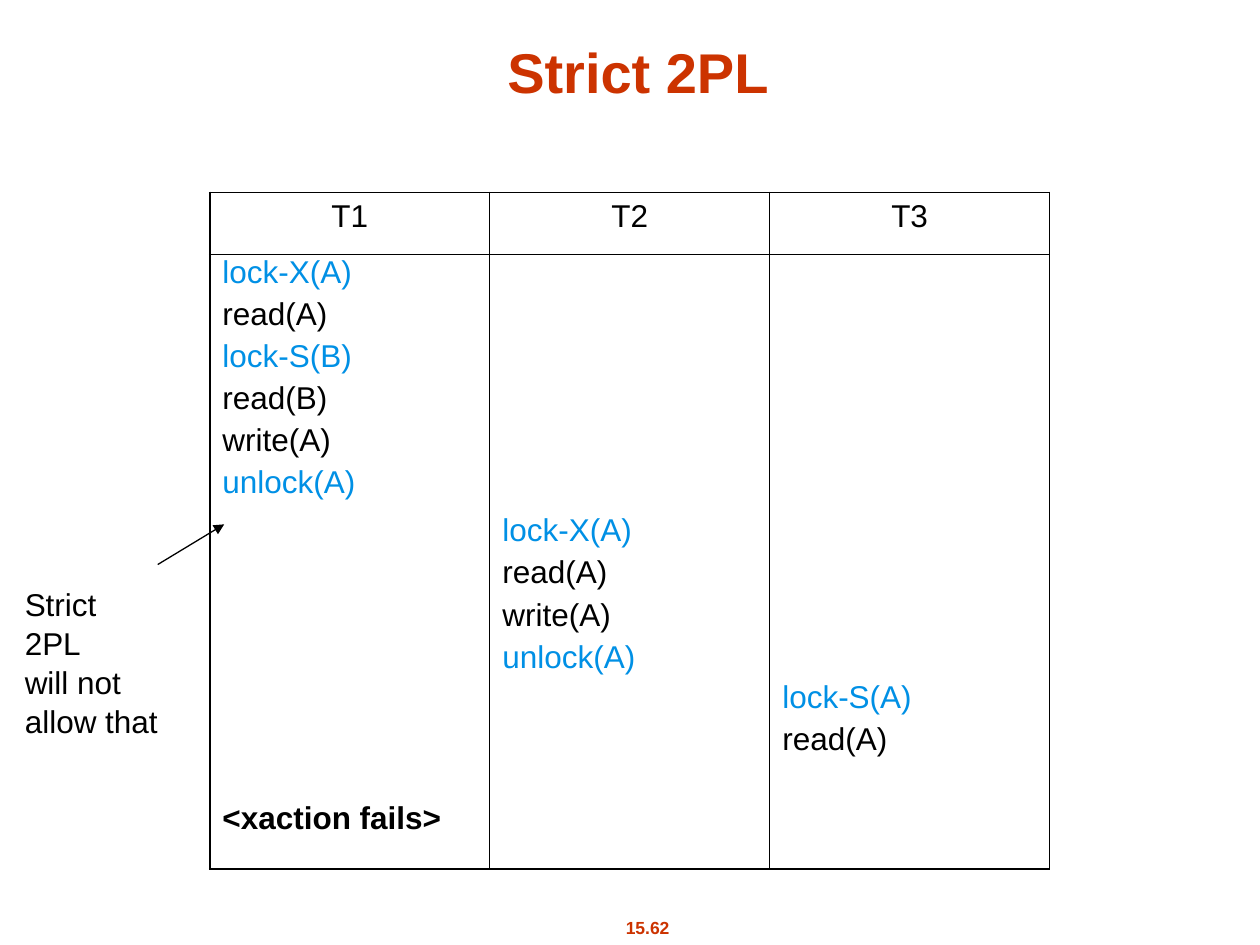
from lxml.etree import SubElement
from pptx import Presentation
from pptx.dml.color import RGBColor
from pptx.enum.shapes import MSO_CONNECTOR
from pptx.enum.text import MSO_ANCHOR, PP_ALIGN
from pptx.oxml import parse_xml
from pptx.oxml.ns import nsdecls, qn
from pptx.util import Cm, Pt

BLACK = RGBColor(0x00, 0x00, 0x00)
RED = RGBColor(0xCC, 0x33, 0x00)
BLUE = RGBColor(0x00, 0x90, 0xE5)
FONT = "Arial"
OUTER_BORDER = Pt(1.08)
INNER_BORDER = Pt(0.45)
CELL_TOP = Cm(0.13)
FAILURE = "<xaction fails>"
FAILURE_GAP = Pt(176)

# Transaction name, top margin of its schedule cell, operations in order
TRANSACTIONS = [
    ("T1", CELL_TOP, ["lock-X(A)", "read(A)", "lock-S(B)", "read(B)",
                      "write(A)", "unlock(A)", FAILURE]),
    ("T2", Cm(5.35), ["lock-X(A)", "read(A)", "write(A)", "unlock(A)"]),
    ("T3", Cm(8.71), ["lock-S(A)", "read(A)"]),
]


def add_run(paragraph, text, size=18, color=BLACK, bold=False):
    run = paragraph.add_run()
    run.text = text
    run.font.name = FONT
    run.font.size = Pt(size)
    run.font.bold = bold
    run.font.color.rgb = color


def paragraphs_for(frame, lines):
    """Yield a paragraph of the frame together with each line."""
    for index, line in enumerate(lines):
        yield (frame.add_paragraph() if index else frame.paragraphs[0]), line


def add_text(slide, left, top, width, height, lines, alignment=PP_ALIGN.LEFT,
             anchor=MSO_ANCHOR.TOP, wrap=False, spacing=1.0, **font):
    box = slide.shapes.add_textbox(Cm(left), Cm(top), Cm(width), Cm(height))
    frame = box.text_frame
    frame.word_wrap = wrap
    frame.vertical_anchor = anchor
    for paragraph, line in paragraphs_for(frame, lines):
        paragraph.alignment = alignment
        paragraph.line_spacing = spacing
        add_run(paragraph, line, **font)


def set_borders(cell, outer_sides):
    """Draw all four sides, with the heavier line on the outer ones."""
    properties = cell._tc.get_or_add_tcPr()
    for index, side in enumerate("LRTB"):
        width = OUTER_BORDER if side in outer_sides else INNER_BORDER
        properties.insert(index, parse_xml(
            f'<a:ln{side} {nsdecls("a")} w="{int(width)}"><a:solidFill>'
            f'<a:srgbClr val="{BLACK}"/></a:solidFill></a:ln{side}>'))


def fill_schedule(cell, operations):
    for paragraph, operation in paragraphs_for(cell.text_frame, operations):
        failure = operation == FAILURE
        paragraph.line_spacing = 0.8
        if operation is not operations[0]:
            paragraph.space_before = FAILURE_GAP if failure else Pt(7.9)
        color = BLUE if "lock" in operation else BLACK
        add_run(paragraph, operation, color=color, bold=failure)


def add_schedule_table(slide):
    frame = slide.shapes.add_table(2, len(TRANSACTIONS), Cm(4.23), Cm(3.88),
                                   Cm(16.93), Cm(13.64))
    table = frame.table
    table.first_row = False
    table.horz_banding = False
    table.rows[0].height = Cm(1.24)
    table.rows[1].height = Cm(12.4)
    last = len(TRANSACTIONS) - 1
    for column, (name, top_margin, operations) in enumerate(TRANSACTIONS):
        header, schedule = table.cell(0, column), table.cell(1, column)
        outer = ("L" if column == 0 else "") + ("R" if column == last else "")
        for cell, edge in ((header, "T"), (schedule, "B")):
            cell.fill.background()
            cell.margin_top = CELL_TOP
            set_borders(cell, outer + edge)
        paragraph = header.text_frame.paragraphs[0]
        paragraph.alignment = PP_ALIGN.CENTER
        add_run(paragraph, name)
        schedule.margin_top = top_margin
        fill_schedule(schedule, operations)


def add_arrow(slide, start_x, start_y, end_x, end_y):
    arrow = slide.shapes.add_connector(MSO_CONNECTOR.STRAIGHT, Cm(start_x),
                                       Cm(start_y), Cm(end_x), Cm(end_y))
    arrow.line.color.rgb = BLACK
    arrow.line.width = Pt(0.75)
    SubElement(arrow.line._get_or_add_ln(), qn("a:tailEnd"), type="triangle")
    SubElement(arrow._element.spPr, qn("a:effectLst"))


def main():
    presentation = Presentation()
    presentation.slide_width = Cm(25.4)
    presentation.slide_height = Cm(19.05)
    slide = presentation.slides.add_slide(presentation.slide_layouts[6])

    add_text(slide, 11.71, 18.36, 2.69, 0.69, ["15.62"], PP_ALIGN.CENTER,
             size=10, color=RED, bold=True)
    add_text(slide, 1.65, 0.53, 22.43, 1.7, ["Strict 2PL"], PP_ALIGN.CENTER,
             MSO_ANCHOR.BOTTOM, wrap=True, size=32, color=RED, bold=True)
    add_schedule_table(slide)
    add_arrow(slide, 3.18, 11.38, 4.52, 10.57)
    add_text(slide, 0.25, 11.63, 3.25, 2.54,
             ["Strict 2PL", "will not", "allow that"], spacing=1.04)

    presentation.save("out.pptx")


if __name__ == "__main__":
    main()
